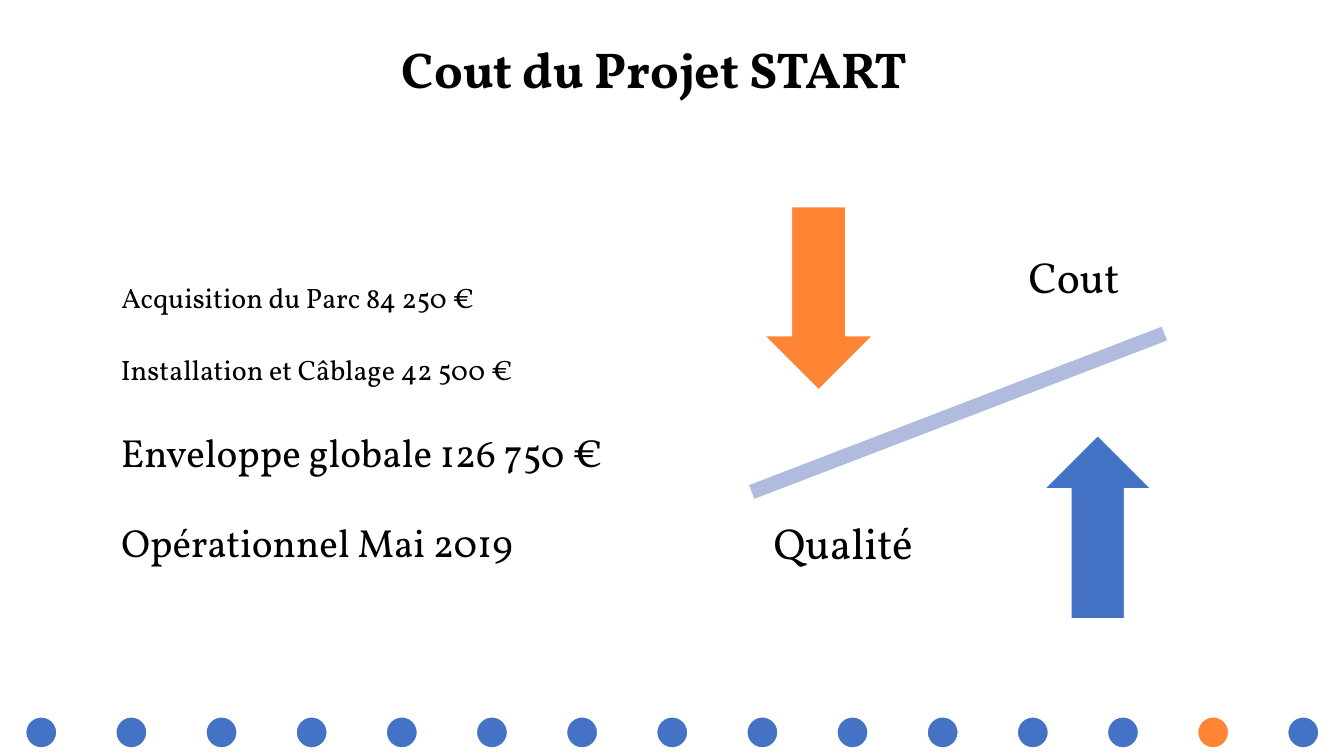
from pptx import Presentation
from pptx.dml.color import RGBColor
from pptx.enum.shapes import MSO_SHAPE as Shape
from pptx.enum.text import MSO_ANCHOR as Anchor, MSO_AUTO_SIZE as AutoSize, PP_ALIGN as Align
from pptx.util import Pt

BLUE, ORANGE, LAVENDER = "4472C4", "FF8534", "B0BCDE"
BLACK, WHITE = "000000", "FFFFFF"


def color(value):
    return RGBColor.from_string(value)


class SlideBuilder:
    font = "Vollkorn"

    def __init__(self, slide):
        self.slide = slide
        self.shapes = slide.shapes

    def start_group(self):
        self.shapes = self.slide.shapes.add_group_shape().shapes

    def end_group(self):
        self.shapes = self.slide.shapes

    def background(self, fill):
        self.slide.background.fill.solid()
        self.slide.background.fill.fore_color.rgb = color(fill)

    def shape(self, kind, left, top, width, height, fill, rotation=0):
        shape = self.shapes.add_shape(kind, Pt(left), Pt(top), Pt(width), Pt(height))
        shape.shadow.inherit = False
        shape.fill.solid()
        shape.fill.fore_color.rgb = color(fill)
        shape.line.color.rgb = color(WHITE)
        shape.line.width = Pt(1)
        shape.rotation = rotation

    def text(self, text, left, top, width, height, size, align=Align.LEFT, bold=False):
        box = self.shapes.add_textbox(Pt(left), Pt(top), Pt(width), Pt(height))
        text_frame = box.text_frame
        text_frame.word_wrap = True
        text_frame.auto_size = AutoSize.SHAPE_TO_FIT_TEXT
        text_frame.text = text
        paragraph = text_frame.paragraphs[0]
        paragraph.alignment = align
        font = paragraph.runs[0].font
        font.name, font.size, font.bold = self.font, Pt(size), bold
        font.color.rgb = color(BLACK)
        return text_frame

    def balance_label(self, text, left, top):
        text_frame = self.text(text, left, top, 139, 137.5, 31, Align.CENTER)
        text_frame.auto_size = AutoSize.NONE
        text_frame.vertical_anchor = Anchor.MIDDLE
        text_frame.margin_left = text_frame.margin_right = Pt(17.3)
        text_frame.margin_top = text_frame.margin_bottom = Pt(17.3)
        text_frame.paragraphs[0].line_spacing = 0.9


def main():
    presentation = Presentation()
    presentation.slide_width, presentation.slide_height = Pt(960), Pt(540)
    builder = SlideBuilder(presentation.slides.add_slide(presentation.slide_layouts[6]))
    builder.background(WHITE)

    # Progress dots
    dot_count, current_dot, dot_pitch = 15, 13, 64.39
    builder.start_group()
    for index in range(dot_count):
        fill = ORANGE if index == current_dot else BLUE
        builder.shape(Shape.OVAL, 18.3 + index * dot_pitch, 512, 22.3, 22.3, fill)

    # Balance between cost and quality
    builder.start_group()
    builder.shape(Shape.MATH_MINUS, 468.7, 270, 431.3, 49.7, LAVENDER, rotation=339)
    builder.shape(Shape.DOWN_ARROW, 546, 147.6, 77.5, 131, ORANGE)
    builder.balance_label("Cout", 697.7, 131)
    builder.shape(Shape.UP_ARROW, 746, 311, 76.3, 131, BLUE)
    builder.balance_label("Qualité", 532.8, 321.1)
    builder.end_group()

    # Budget lines
    builder.text("Acquisition du Parc 84 250 €", 79.7, 196.6, 294, 31.7, 20)
    builder.text("Installation et Câblage 42 500 €", 79.2, 248.4, 294.5, 31.7, 20)
    builder.text("Enveloppe globale 126 750 €", 79.2, 302.4, 359.3, 41, 28)
    builder.text("Opérationnel Mai 2019", 79.7, 366.5, 388, 41, 28)

    # Title
    builder.text("Cout du Projet START", 152, 23.8, 631.4, 51, 36, Align.CENTER, bold=True)

    presentation.save("out.pptx")


if __name__ == "__main__":
    main()
